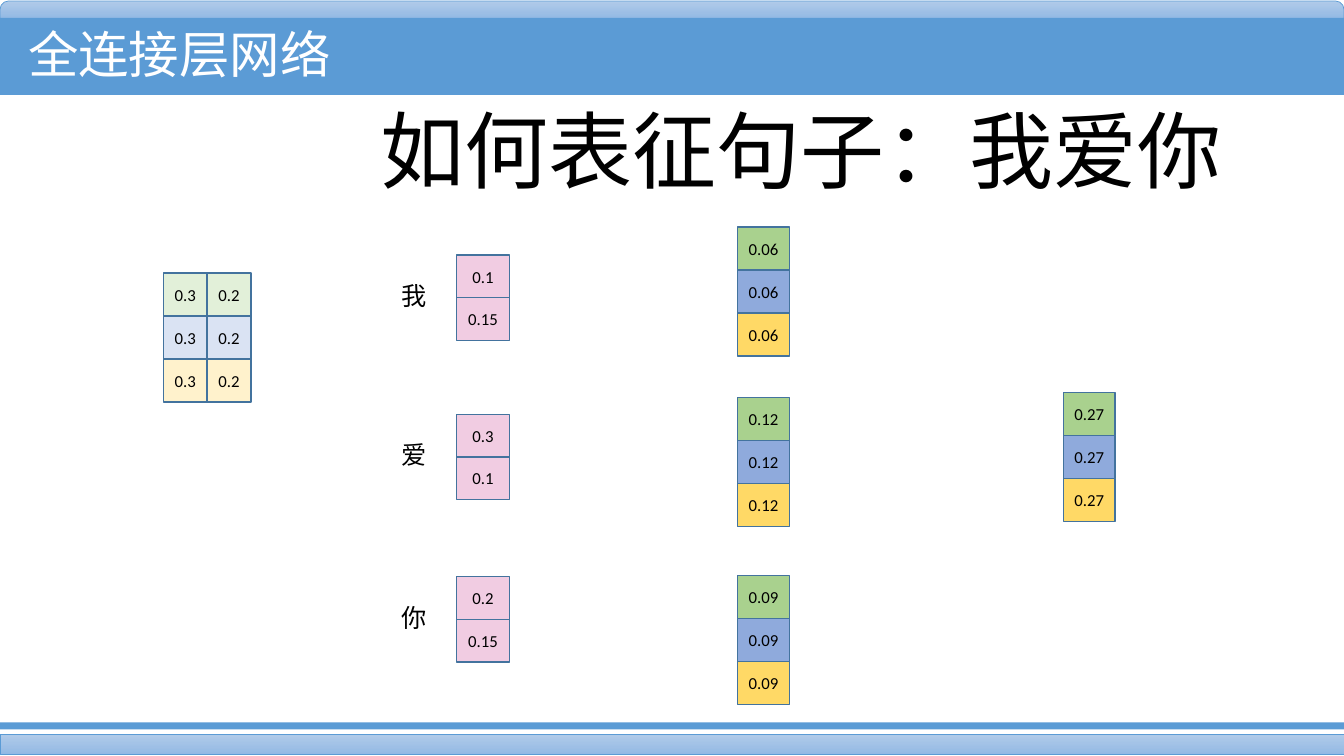
from pptx import Presentation
from pptx.dml.color import RGBColor
from pptx.enum.shapes import MSO_SHAPE
from pptx.enum.text import MSO_ANCHOR, PP_ALIGN
from pptx.oxml.ns import qn
from pptx.util import Pt

WIDTH, HEIGHT = 960, 540
BLUE, BORDER, BLACK, WHITE, PINK = "5B9BD5", "43739E", "000000", "FFFFFF", "F1CCE2"
PALE = ["E2F0D9", "DAE3F3", "FFF2CC"]
STRONG = ["A9D18E", "8FAADC", "FFD966"]


def rgb(color):
    """Turn a hex string into a colour."""
    return RGBColor.from_string(color)


def add_run(p, text, size, color, font="Calibri"):
    """Add one formatted run to a paragraph."""
    r = p.add_run()
    r.text = text
    r.font.size, r.font.name = Pt(size), font
    r.font.color.rgb = rgb(color)
    return r


def add_box(s, x, y, w, h, fill=None, line=None, line_width=1, kind=MSO_SHAPE.RECTANGLE):
    """Add a flat shape, with a solid fill if one is given."""
    sp = s.shapes.add_shape(kind, Pt(x), Pt(y), Pt(w), Pt(h))
    sp.shadow.inherit = False
    if fill:
        sp.fill.solid()
        sp.fill.fore_color.rgb = rgb(fill)
    if line:
        sp.line.color.rgb = rgb(line)
        sp.line.width = Pt(line_width)
    else:
        sp.line.fill.background()
    return sp


def add_gradient_bar(s, x, y, w, h, kind=MSO_SHAPE.RECTANGLE):
    """Add a bar shaded from top to bottom."""
    sp = add_box(s, x, y, w, h, line=BLUE, line_width=0.5, kind=kind)
    sp.fill.gradient()
    sp.fill.gradient_angle = 270
    for stop, color in zip(sp.fill.gradient_stops, ["B1CBE9", "93B9E4"]):
        stop.color.rgb = rgb(color)
    return sp


def add_label(s, x, y, w, h, text, size, color=BLACK, font="Calibri"):
    """Add a single-line text box."""
    tf = s.shapes.add_textbox(Pt(x), Pt(y), Pt(w), Pt(h)).text_frame
    tf.word_wrap = False
    return add_run(tf.paragraphs[0], text, size, color, font)


def add_header(s, x, y, w, h):
    """Draw the header band and the slide title."""
    bar = add_gradient_bar(s, x, y + 0.7, w, 12.3, MSO_SHAPE.ROUND_2_SAME_RECTANGLE)
    bar.adjustments[0], bar.adjustments[1] = 0.5, 0
    add_box(s, x, y + 13, w, h - 13, BLUE)
    font = "Noto Sans CJK SC"
    r = add_label(s, x + 13, y + 13, 230.4, 51, "全连接层网络", 36, WHITE, font)
    ea = r.font._element.makeelement(qn("a:ea"), {"typeface": font})
    r.font._element.append(ea)


def add_footer(s, x, y, w, h):
    """Draw the thin rule and the shaded bar at the foot."""
    add_gradient_bar(s, x, y + 8.2, w, h - 8.2)
    add_box(s, x, y, w, 5, BLUE)


def add_matrix(s, x, y, w, h, rows, colors):
    """Draw a grid of numbers, one fill colour per row."""
    cell_h = h / len(rows)
    for i, (row, color) in enumerate(zip(rows, colors)):
        cell_w = w / len(row)
        for j, value in enumerate(row):
            sp = add_box(s, x + j * cell_w, y + i * cell_h, cell_w, cell_h, color, BORDER)
            tf = sp.text_frame
            tf.word_wrap = False
            tf.vertical_anchor = MSO_ANCHOR.MIDDLE
            p = tf.paragraphs[0]
            p.alignment = PP_ALIGN.CENTER
            add_run(p, value, 12, BLACK)


def add_word(s, x, y, w, h, word, values):
    """Draw a word beside its two-number vector."""
    add_label(s, x, y + 14.6, 32.4, 29, word, 18)
    add_matrix(s, x + 46.8, y, w - 46.8, h, [[v] for v in values], [PINK] * 2)


def add_result(s, x, y, w, h, value):
    """Draw a column that holds one value three times."""
    add_matrix(s, x, y, w, h, [[value]] * 3, STRONG)


def main():
    """Build and save the slide."""
    prs = Presentation()
    prs.slide_width, prs.slide_height = Pt(WIDTH), Pt(HEIGHT)
    s = prs.slides.add_slide(prs.slide_layouts[6])
    add_header(s, 0, 0, WIDTH, 67.8)
    add_footer(s, 0, 516, WIDTH, 23.2)
    add_label(s, 265, 67, 620.6, 80, "如何表征句子：我爱你", 60)
    add_matrix(s, 116.8, 195, 62.4, 92.2, [["0.3", "0.2"]] * 3, PALE)
    words = [
        ("我", 182.3, ["0.1", "0.15"], 162.1, "0.06"),
        ("爱", 296, ["0.3", "0.1"], 284, "0.12"),
        ("你", 412, ["0.2", "0.15"], 411.2, "0.09"),
    ]
    for word, y, values, result_y, result in words:
        add_word(s, 279.4, y, 84.4, 60.8, word, values)
        add_result(s, 527, result_y, 36.8, 92.2, result)
    add_result(s, 759.7, 280.2, 36.8, 92.2, "0.27")
    prs.save("out.pptx")


if __name__ == "__main__":
    main()
